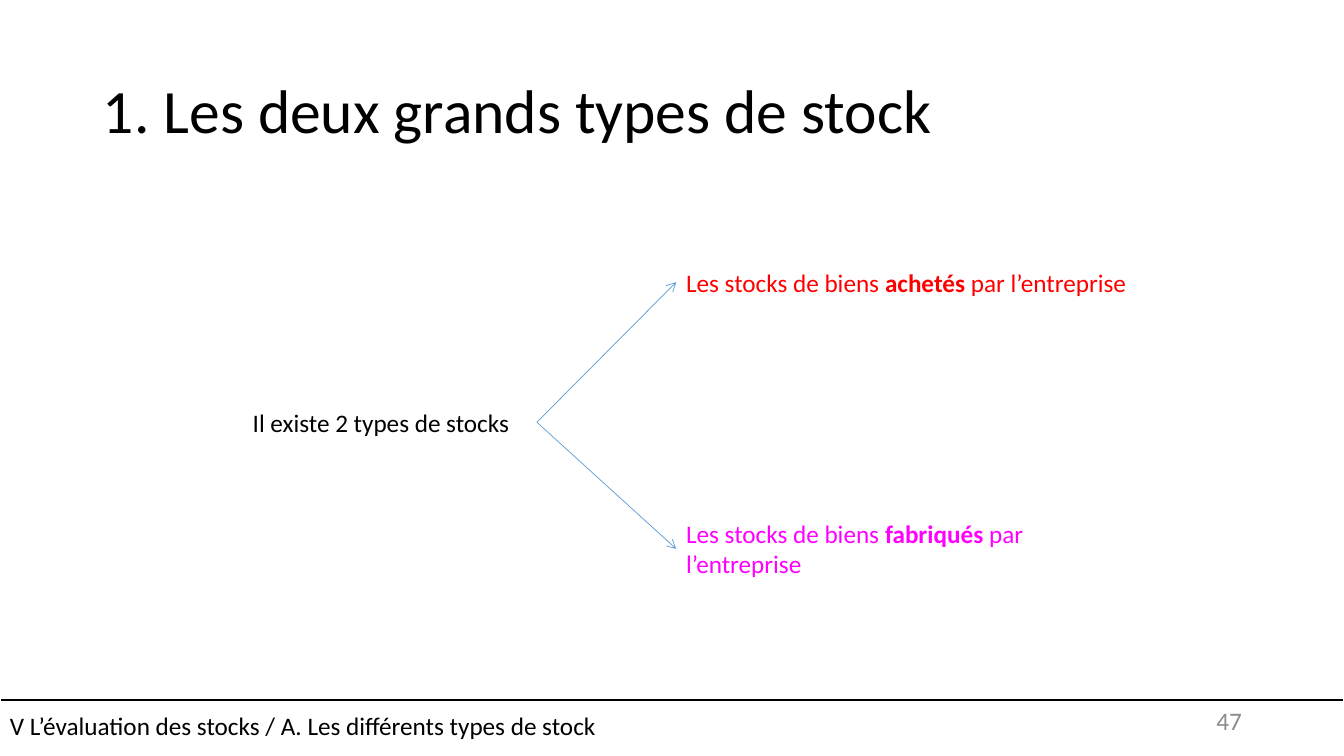
from lxml import etree
from pptx import Presentation
from pptx.dml.color import RGBColor
from pptx.enum.shapes import MSO_CONNECTOR, MSO_SHAPE
from pptx.enum.text import MSO_ANCHOR, MSO_AUTO_SIZE, PP_ALIGN
from pptx.oxml.ns import qn
from pptx.util import Cm, Pt

STRAIGHT = MSO_CONNECTOR.STRAIGHT
RECTANGLE = MSO_SHAPE.RECTANGLE
TOP, MIDDLE = MSO_ANCHOR.TOP, MSO_ANCHOR.MIDDLE
LEFT, RIGHT = PP_ALIGN.LEFT, PP_ALIGN.RIGHT
GROW, FIXED = MSO_AUTO_SIZE.SHAPE_TO_FIT_TEXT, MSO_AUTO_SIZE.NONE
LEFT_SIDE, RIGHT_SIDE = 1, 3

FONT = "Calibri"
BLACK, WHITE, GREY = "000000", "FFFFFF", "8C8C8C"
RED, MAGENTA, BLUE = "FF0000", "FF00FF", "5B9BD5"
SLIDE_WIDTH, SLIDE_HEIGHT = 33.87, 19.05
FOOTER_LINE_TOP = 17.65
BRANCH_LEFT, BRANCH_WIDTH = 17.04, 11.99
LINE_HEIGHT = 1.02


def paint(color_format, color):
    color_format.rgb = RGBColor.from_string(color)


def write(shape, spans, color=BLACK, size=18, align=LEFT, anchor=TOP,
          auto_size=FIXED):
    """Write one paragraph from (text, bold) pairs."""
    frame = shape.text_frame
    frame.word_wrap = True
    frame.auto_size = auto_size
    frame.vertical_anchor = anchor
    para = frame.paragraphs[0]
    para.alignment = align
    para.font.name = FONT
    para.font.size = Pt(size)
    paint(para.font.color, color)
    for text, bold in spans:
        span = para.add_run()
        span.text = text
        if bold:
            span.font.bold = True
    return para


def add_text(page, left, top, width, height, spans, **style):
    box = page.shapes.add_textbox(Cm(left), Cm(top), Cm(width), Cm(height))
    write(box, spans, **style)
    return box


def add_line(page, color, weight, left=0, right=0, top=0):
    line = page.shapes.add_connector(STRAIGHT, Cm(left), Cm(top),
                                     Cm(right), Cm(top))
    paint(line.line.color, color)
    line.line.width = Pt(weight)
    etree.SubElement(line._element.spPr, qn("a:effectLst"))
    return line


def add_arrow(page, source, target):
    arrow = add_line(page, BLUE, 0.5)
    arrow.begin_connect(source, RIGHT_SIDE)
    arrow.end_connect(target, LEFT_SIDE)
    etree.SubElement(arrow.line._get_or_add_ln(), qn("a:tailEnd"), type="arrow")


def add_title(page, text):
    title = page.shapes.title
    title.left, title.top = Cm(2.34), Cm(1.02)
    title.width, title.height = Cm(29.21), Cm(3.68)
    para = write(title, [(text, False)], size=44, anchor=MIDDLE)
    para.line_spacing = 0.9


def add_footer(page, text, number):
    band = page.shapes.add_shape(RECTANGLE, Cm(0), Cm(17.53),
                                 Cm(SLIDE_WIDTH), Cm(1.52))
    band.shadow.inherit = False
    band.fill.background()
    paint(band.line.color, WHITE)
    band.line.width = Pt(1)
    write(band, [(text, False)], anchor=MIDDLE)
    add_text(page, 23.93, FOOTER_LINE_TOP, 7.62, LINE_HEIGHT,
             [(number, False)], color=GREY, align=RIGHT, anchor=MIDDLE)


def main():
    deck = Presentation()
    deck.slide_width, deck.slide_height = Cm(SLIDE_WIDTH), Cm(SLIDE_HEIGHT)
    page = deck.slides.add_slide(deck.slide_layouts[5])

    # Footer rule and title
    add_line(page, BLACK, 1.5, right=SLIDE_WIDTH, top=FOOTER_LINE_TOP)
    add_title(page, "1. Les deux grands types de stock")

    # Root of the tree and its two branches
    root = add_text(page, 6.12, 10.13, 7.41, LINE_HEIGHT,
                    [("Il existe 2 types de stocks", False)], auto_size=GROW)
    branches = [
        (6.6, LINE_HEIGHT, "achetés", RED),
        (12.93, 1.8, "fabriqués", MAGENTA),
    ]
    for top, height, origin, color in branches:
        spans = [("Les stocks de biens ", False), (origin, True),
                 (" par l’entreprise", False)]
        branch = add_text(page, BRANCH_LEFT, top, BRANCH_WIDTH, height, spans,
                          color=color, auto_size=GROW)
        add_arrow(page, root, branch)

    # Footer text and page number
    add_footer(page, "V L’évaluation des stocks / "
                     "A. Les différents types de stock", "47")
    deck.save("out.pptx")


if __name__ == "__main__":
    main()
